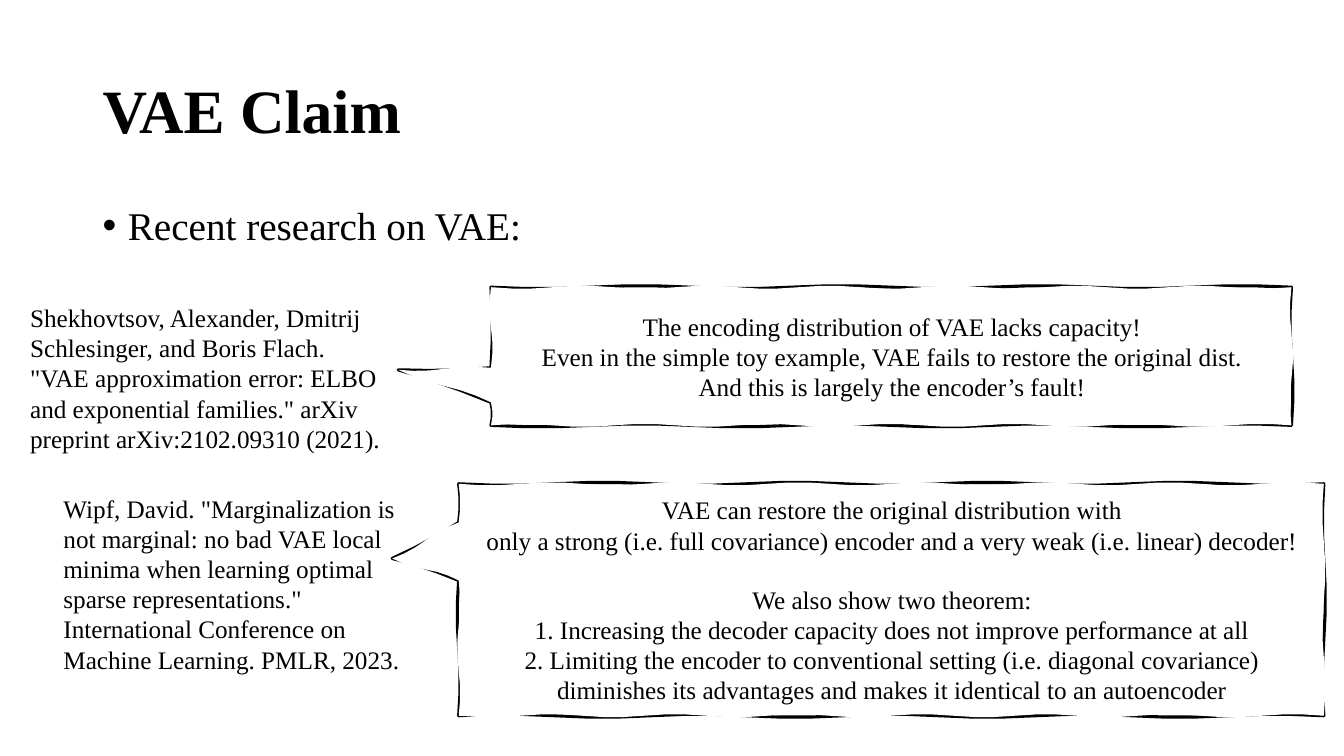
from dataclasses import dataclass
from itertools import pairwise
from math import ceil, hypot, pi, sin

from lxml import etree
from pptx import Presentation
from pptx.dml.color import RGBColor
from pptx.enum.text import MSO_ANCHOR, PP_ALIGN
from pptx.oxml.ns import qn
from pptx.util import Inches, Pt

MIDDLE, TOP = MSO_ANCHOR.MIDDLE, MSO_ANCHOR.TOP
LEFT, CENTER = PP_ALIGN.LEFT, PP_ALIGN.CENTER
SLIDE_WIDTH, SLIDE_HEIGHT = Inches(13.33), Inches(7.5)
TEXT_INSET = Inches(0.1)
BULLET_INDENT = Inches(0.25)
STEPS_PER_WAVE = 3


@dataclass(frozen=True)
class Theme:
    font: str = "Times New Roman"
    ink: RGBColor = RGBColor(0, 0, 0)
    paper: RGBColor = RGBColor(255, 255, 255)
    title_size: float = 44
    topic_size: float = 28
    detail_size: float = 18
    gap_size: float = 20.7
    stroke: float = 2.25
    wobble: float = 0.015
    stroke_wave: float = 1
    paper_wave: float = 0.65


THEME = Theme()


def across(percent):
    return round(SLIDE_WIDTH * percent / 100)


def down(percent):
    return round(SLIDE_HEIGHT * percent / 100)


def write_line(paragraph, wording, size, align=LEFT, bold=False):
    paragraph.alignment = align
    run = paragraph.add_run()
    run.text = wording
    run.font.name = THEME.font
    run.font.size = Pt(size)
    run.font.bold = bold
    run.font.color.rgb = THEME.ink


def add_bullet(paragraph):
    properties = paragraph._p.get_or_add_pPr()
    properties.set("marL", str(BULLET_INDENT))
    properties.set("indent", str(-BULLET_INDENT))
    etree.SubElement(properties, qn("a:buFont")).set("typeface", "Arial")
    etree.SubElement(properties, qn("a:buChar")).set("char", "•")


def add_text(slide, area, wording, size, bold=False, anchor=TOP):
    left, top, width, height = area
    frame = slide.shapes.add_textbox(
        across(left), down(top), across(width), down(height)
    ).text_frame
    frame.word_wrap = True
    frame.vertical_anchor = anchor
    paragraph = frame.paragraphs[0]
    write_line(paragraph, wording, size, bold=bold)
    return paragraph


def wavy_edge(start, end, wave):
    (x1, y1), (x2, y2) = start, end
    length = hypot(x2 - x1, y2 - y1)
    half_waves = ceil(length / Inches(wave))
    steps = half_waves * STEPS_PER_WAVE
    for step in range(1, steps + 1):
        share = step / steps
        offset = Inches(THEME.wobble) * sin(pi * half_waves * share)
        yield (
            round(x1 + (x2 - x1) * share - (y2 - y1) / length * offset),
            round(y1 + (y2 - y1) * share + (x2 - x1) / length * offset),
        )


def add_sketch(slide, corners, wave):
    builder = slide.shapes.build_freeform(*corners[0])
    edges = pairwise([*corners, corners[0]])
    builder.add_line_segments(
        [point for start, end in edges for point in wavy_edge(start, end, wave)]
    )
    sketch = builder.convert_to_shape()
    sketch.shadow.inherit = False
    return sketch


def add_claim(slide, area, tip, tail_rows, lines, gap_before=None):
    left, top, width, height = area
    x1, x2 = across(left), across(left + width)
    y1, y2 = down(top), down(top + height)
    tail_top, tail_bottom = (y1 + (y2 - y1) * row // 12 for row in tail_rows)
    corners = [
        (x1, y1), (x2, y1), (x2, y2), (x1, y2),
        (x1, tail_bottom), (across(tip[0]), down(tip[1])), (x1, tail_top),
    ]

    outline = add_sketch(slide, corners, THEME.stroke_wave)
    outline.fill.background()
    outline.line.color.rgb = THEME.ink
    outline.line.width = Pt(THEME.stroke)

    bubble = add_sketch(slide, corners, THEME.paper_wave)
    bubble.fill.solid()
    bubble.fill.fore_color.rgb = THEME.paper
    bubble.line.fill.background()

    frame = bubble.text_frame
    frame.word_wrap = True
    frame.vertical_anchor = MIDDLE
    frame.margin_left = x1 - bubble.left + TEXT_INSET
    frame.margin_right = TEXT_INSET
    for number, wording in enumerate(lines):
        paragraph = frame.add_paragraph() if number else frame.paragraphs[0]
        write_line(paragraph, wording, THEME.detail_size, CENTER)
        if number == gap_before:
            paragraph.space_before = Pt(THEME.gap_size)


def main():
    deck = Presentation()
    deck.slide_width, deck.slide_height = SLIDE_WIDTH, SLIDE_HEIGHT
    slide = deck.slides.add_slide(deck.slide_layouts[6])

    title = add_text(slide, (6.9, 5.33, 86.27, 19.33), "VAE Claim",
                     THEME.title_size, bold=True, anchor=MIDDLE)
    title.line_spacing = 0.9
    topic = add_text(slide, (6.9, 26.67, 86.27, 63.47),
                     "Recent research on VAE:", THEME.topic_size)
    topic.line_spacing = 0.9
    topic.space_before = Pt(10)
    add_bullet(topic)

    add_claim(slide, (36.53, 38, 59.56, 18.27), (29.63, 48.93), (7, 10), [
        "The encoding distribution of VAE lacks capacity!",
        "Even in the simple toy example, VAE fails to restore the original dist.",
        "And this is largely the encoder’s fault!",
    ])
    add_claim(slide, (34.13, 64, 64.37, 30.67), (29.18, 73.87), (2, 5), [
        "VAE can restore the original distribution with",
        "only a strong (i.e. full covariance) encoder and a very weak "
        "(i.e. linear) decoder!",
        "We also show two theorem:",
        "1. Increasing the decoder capacity does not improve performance at all",
        "2. Limiting the encoder to conventional setting (i.e. diagonal covariance) "
        "diminishes its advantages and makes it identical to an autoencoder",
    ], gap_before=2)

    add_text(slide, (3.98, 64.53, 27.31, 25.6),
             'Wipf, David. "Marginalization is not marginal: no bad VAE local minima '
             'when learning optimal sparse representations." International Conference '
             'on Machine Learning. PMLR, 2023.', THEME.detail_size)
    add_text(slide, (1.5, 39.33, 28.06, 21.6),
             'Shekhovtsov, Alexander, Dmitrij Schlesinger, and Boris Flach. "VAE '
             'approximation error: ELBO and exponential families." arXiv preprint '
             'arXiv:2102.09310 (2021).', THEME.detail_size)

    deck.save("out.pptx")


if __name__ == "__main__":
    main()
